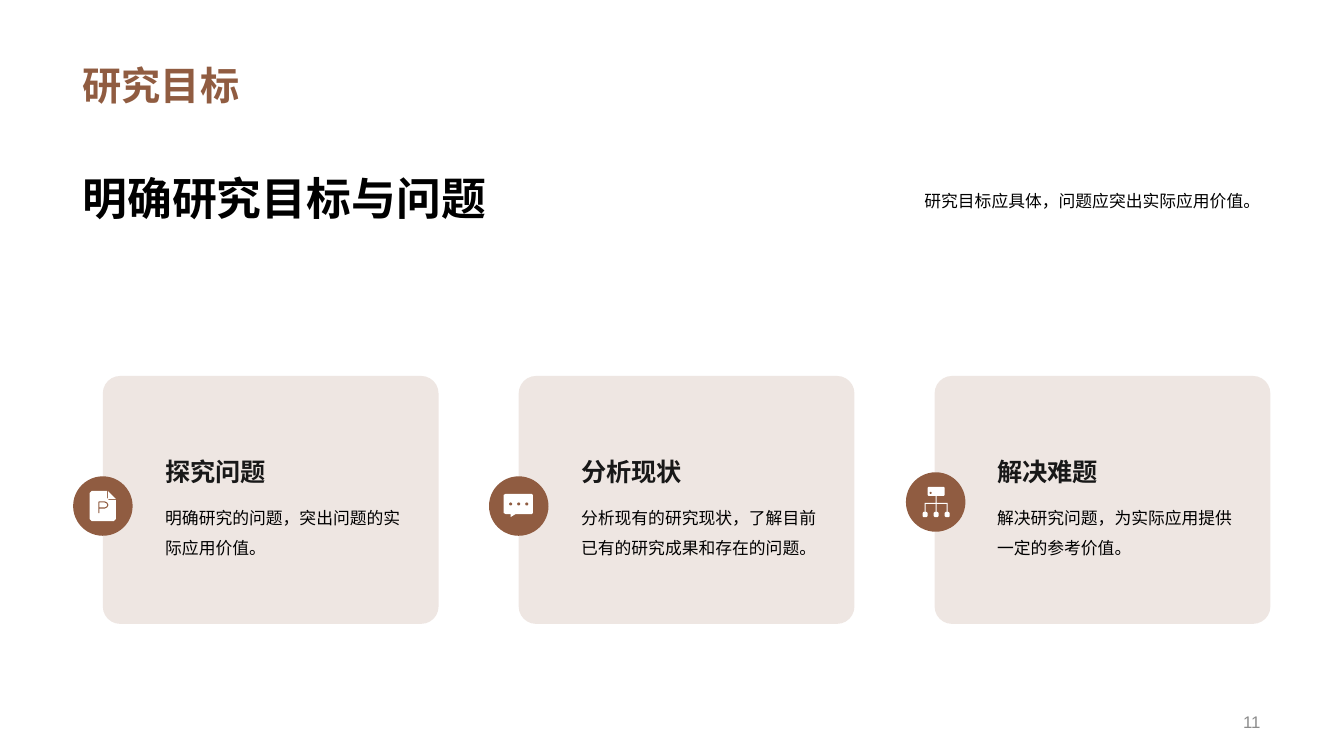
from dataclasses import dataclass

from lxml import etree
from pptx import Presentation
from pptx.dml.color import RGBColor
from pptx.enum import lang, shapes, text
from pptx.oxml import ns
from pptx.util import Inches, Pt


@dataclass(frozen=True)
class Theme:
    font: str = "Arial"
    brown: str = "905C41"
    white: str = "FFFFFF"
    black: str = "000000"
    heading: str = "181818"
    grey: str = "8C8C8C"
    title_size: int = 28
    statement_size: int = 32
    heading_size: int = 18
    body_size: int = 12
    card_alpha: int = 15


THEME = Theme()
KIND = shapes.MSO_SHAPE
ANCHOR = text.MSO_ANCHOR
ALIGN = text.PP_ALIGN
BADGE_SIZE = 0.59


def write(frame, words, size, color, bold=False, anchor=ANCHOR.TOP,
          align=ALIGN.LEFT, spacing=1.0):
    frame.word_wrap = True
    frame.auto_size = text.MSO_AUTO_SIZE.NONE
    frame.vertical_anchor = anchor
    para = frame.paragraphs[0]
    para.alignment = align
    para.line_spacing = spacing
    span = para.add_run()
    span.text = words
    font = span.font
    font.name, font.size, font.bold = THEME.font, Pt(size), bold
    font.color.rgb = RGBColor.from_string(color)
    font.language_id = lang.MSO_LANGUAGE_ID.SIMPLIFIED_CHINESE


def add_text(page, box, words, size, color, **style):
    label = page.shapes.add_textbox(*map(Inches, box))
    write(label.text_frame, words, size, color, **style)


def paint(shape, color, alpha=None):
    shape.shadow.inherit = False
    shape.line.fill.background()
    shape.fill.solid()
    shape.fill.fore_color.rgb = RGBColor.from_string(color)
    if alpha is not None:
        tint = shape.fill._xPr.find(".//" + ns.qn("a:srgbClr"))
        etree.SubElement(tint, ns.qn("a:alpha"), val=str(alpha * 1000))


def add_block(page, kind, box, color, round_by=None, alpha=None):
    block = page.shapes.add_shape(kind, *map(Inches, box))
    if round_by is not None:
        block.adjustments[0] = round_by
    paint(block, color, alpha)
    return block


def add_dot(page, x, y, size, color):
    add_block(page, KIND.OVAL, (x - size / 2, y - size / 2, size, size), color)


def trace(page, center, contours, close=True):
    """Build one shape from contours given relative to the center."""
    builder = None
    for points in contours:
        spots = [(Inches(center[0] + x), Inches(center[1] + y))
                 for x, y in points]
        if builder is None:
            builder = page.shapes.build_freeform(*spots[0])
        else:
            builder.move_to(*spots[0])
        builder.add_line_segments(spots[1:], close=close)
    return builder.convert_to_shape()


def add_stroke(page, center, points, color, width):
    stroke = trace(page, center, [points], close=False)
    stroke.shadow.inherit = False
    stroke.fill.background()
    stroke.line.color.rgb = RGBColor.from_string(color)
    stroke.line.width = Pt(width)


def bar(x, y, width, height, cut=0):
    """Return the corners of a rectangle, cut off where asked."""
    right, bottom = x + width, y + height
    return [(x + cut, y), (right - cut, y), (right, y + cut),
            (right, bottom - cut), (right - cut, bottom), (x + cut, bottom),
            (x, bottom - cut), (x, y + cut)]


def draw_document(page, center):
    sheet = [(-0.11, -0.15), (0.04, -0.15), (0.04, -0.08), (0.06, -0.06),
             (0.13, -0.06), (0.13, 0.13), (0.11, 0.15), (-0.11, 0.15),
             (-0.13, 0.13), (-0.13, -0.13)]
    fold = [(0.05, -0.15), (0.13, -0.07), (0.05, -0.07)]
    paint(trace(page, center, [sheet, fold]), THEME.white)
    letter = [(-0.04, 0.07), (-0.04, -0.04), (0.02, -0.04), (0.04, -0.03),
              (0.05, -0.01), (0.04, 0.01), (0.02, 0.02), (-0.04, 0.02)]
    add_stroke(page, center, letter, THEME.brown, 0.75)


def draw_speech(page, center):
    bubble = [(-0.13, -0.12), (0.13, -0.12), (0.14, -0.11), (0.14, 0.07),
              (0.13, 0.08), (-0.03, 0.08), (-0.08, 0.11), (-0.08, 0.08),
              (-0.13, 0.08), (-0.15, 0.07), (-0.15, -0.11)]
    paint(trace(page, center, [bubble]), THEME.white)
    for step in (-1, 0, 1):
        add_dot(page, center[0] + step * 0.08, center[1] - 0.02, 0.03,
                THEME.brown)


def draw_hierarchy(page, center):
    parts = [bar(-0.08, -0.15, 0.17, 0.09, 0.01), bar(0, -0.06, 0.01, 0.07),
             bar(-0.11, 0.01, 0.23, 0.01)]
    for x in (-0.11, 0, 0.11):
        parts += [bar(x, 0.02, 0.01, 0.08), bar(x - 0.02, 0.1, 0.05, 0.05, 0.01)]
    paint(trace(page, center, parts), THEME.white)
    add_dot(page, center[0] - 0.05, center[1] - 0.09, 0.02, THEME.brown)


def add_badge(page, center, draw_icon):
    x, y = center
    half = BADGE_SIZE / 2
    add_block(page, KIND.ROUNDED_RECTANGLE,
              (x - half, y - half, BADGE_SIZE, BADGE_SIZE), THEME.brown, 0.5)
    draw_icon(page, center)


def add_card(page, box, heading, words, draw_icon, nudge):
    """Place a tinted card with its badge centred near the left edge."""
    left, top, width, height = box
    add_block(page, KIND.ROUNDED_RECTANGLE, box, THEME.brown, 0.07,
              THEME.card_alpha)
    text_left, text_width = left + 0.52, width - 0.68
    add_text(page, (text_left, top + 0.75, text_width, 0.4), heading,
             THEME.heading_size, THEME.heading, bold=True, anchor=ANCHOR.BOTTOM)
    add_text(page, (text_left, top + 1.16, text_width, 0.67), words,
             THEME.body_size, THEME.black, spacing=1.5)
    center = left + nudge[0], top + 1.29 + nudge[1]
    add_badge(page, center, draw_icon)


def add_cards(page, box):
    left, top, width, height = box
    cards = [
        ("探究问题", "明确研究的问题，突出问题的实际应用价值。",
         draw_document, (0, 0)),
        ("分析现状", "分析现有的研究现状，了解目前已有的研究成果和存在的问题。",
         draw_speech, (0, 0)),
        ("解决难题", "解决研究问题，为实际应用提供一定的参考价值。",
         draw_hierarchy, (0.01, -0.04)),
    ]
    card_width = 3.33
    pitch = (width - card_width) / (len(cards) - 1)
    for index, card in enumerate(cards):
        add_card(page, (left + index * pitch, top, card_width, height), *card)


def add_backdrop(page, box):
    backdrop = add_block(page, KIND.RECTANGLE, box, THEME.white)
    page.shapes._spTree.insert(2, backdrop._element)


def add_title(page, box):
    title = page.shapes.title
    title.left, title.top, title.width, title.height = map(Inches, box)
    write(title.text_frame, "研究目标", THEME.title_size, THEME.brown,
          bold=True, anchor=ANCHOR.BOTTOM)


def add_statement(page, box):
    left, top, width, height = box
    add_text(page, (left, top, 5.49, height), "明确研究目标与问题",
             THEME.statement_size, THEME.black, bold=True, anchor=ANCHOR.BOTTOM)
    add_text(page, (left + width - 4.65, top + 0.16, 4.65, 0.32),
             "研究目标应具体，问题应突出实际应用价值。",
             THEME.body_size, THEME.black, align=ALIGN.RIGHT, spacing=1.2)


def main():
    deck = Presentation()
    deck.slide_width, deck.slide_height = Inches(13.33), Inches(7.5)
    page = deck.slides.add_slide(deck.slide_layouts.get_by_name("Title Only"))
    add_backdrop(page, (0, 0, 13.33, 7.5))
    add_title(page, (0.72, 0, 11.88, 1.13))
    add_statement(page, (0.72, 1.64, 11.88, 0.64))
    add_cards(page, (1.02, 3.73, 11.58, 2.46))
    add_text(page, (8.6, 7.01, 4, 0.3), "11", THEME.body_size, THEME.grey,
             anchor=ANCHOR.MIDDLE, align=ALIGN.RIGHT)
    deck.save("out.pptx")


if __name__ == "__main__":
    main()
